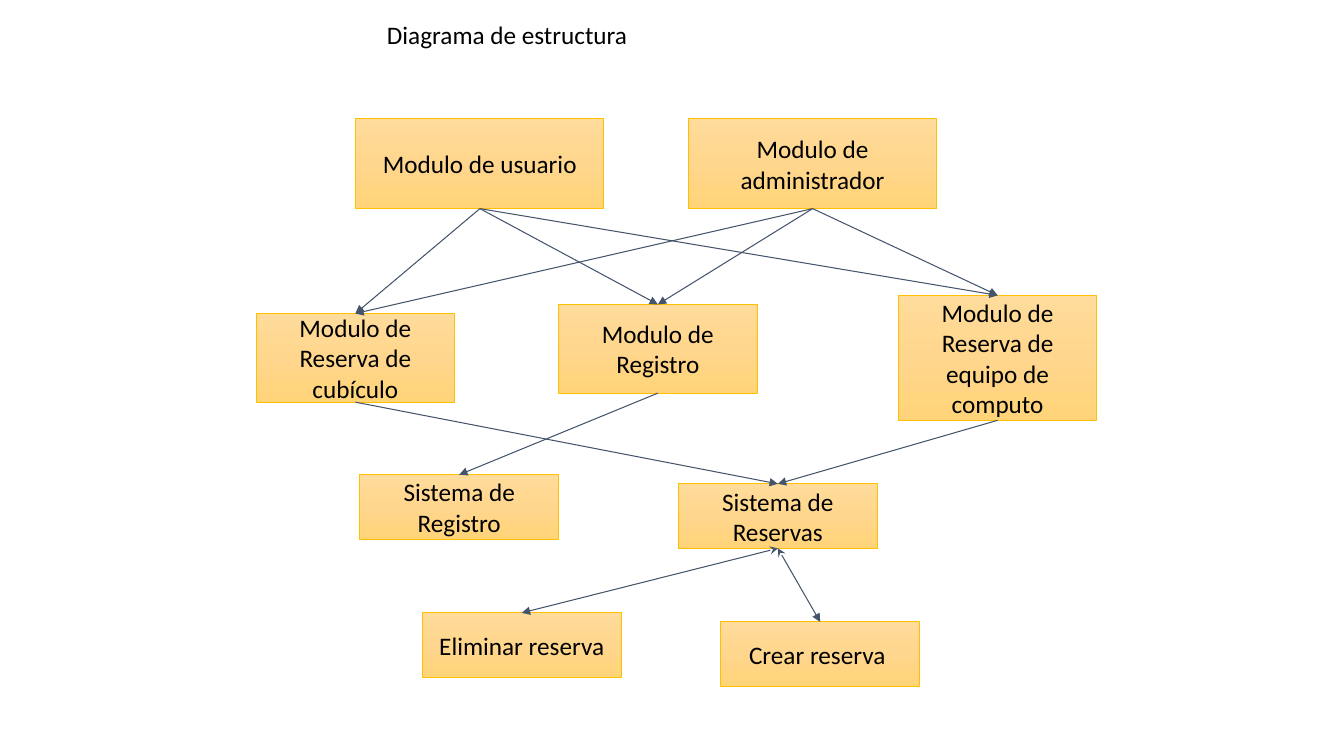
from copy import deepcopy

from pptx import Presentation
from pptx.dml.color import RGBColor
from pptx.enum.shapes import MSO_CONNECTOR, MSO_SHAPE
from pptx.enum.text import MSO_ANCHOR, MSO_AUTO_SIZE, PP_ALIGN
from pptx.oxml.ns import qn
from pptx.oxml.xmlchemy import OxmlElement
from pptx.util import Inches, Pt

TITLE = ("Diagrama de estructura", (3.74, 0.14, 5.46, 0.4))

# Box sizes: width, height
MAIN, MODULE, TALL, SYSTEM = (2.46, 0.89), (1.97, 0.88), (1.97, 1.24), (1.97, 0.64)

# key: (text, left, top, size)
BOXES = {
    "usuario": ("Modulo de usuario", 3.53, 1.18, MAIN),
    "administrador": ("Modulo de administrador", 6.83, 1.18, MAIN),
    "cubiculo": ("Modulo de Reserva de cubículo", 2.54, 3.11, MODULE),
    "registro": ("Modulo de Registro", 5.54, 3.02, MODULE),
    "equipo": ("Modulo de Reserva de equipo de computo", 8.91, 2.93, TALL),
    "sistema registro": ("Sistema de Registro", 3.57, 4.71, SYSTEM),
    "sistema reservas": ("Sistema de Reservas", 6.73, 4.8, SYSTEM),
    "eliminar": ("Eliminar reserva", 4.19, 6.08, SYSTEM),
    "crear": ("Crear reserva ", 7.15, 6.17, SYSTEM),
}

# parent: (children, arrowhead at the parent's end)
LINKS = {
    "usuario": (("cubiculo", "registro", "equipo"), None),
    "administrador": (("cubiculo", "registro", "equipo"), None),
    "registro": (("sistema registro",), None),
    "cubiculo": (("sistema reservas",), None),
    "equipo": (("sistema reservas",), None),
    "sistema reservas": (("eliminar", "crear"), "stealth"),
}

THEME = {
    "gradient": ((0, "FFDC9B"), (0.5, "FFD68D"), (1, "FFD478")),
    "border": "FFC000",
    "arrow": "44546A",
    "line width": Pt(0.75),
    "font": {"name": "Calibri", "size": Pt(18)},
    "text": "000000",
}
TOP_SITE, BOTTOM_SITE = 0, 2


def style_line(line, color):
    line.color.rgb = RGBColor.from_string(color)
    line.width = THEME["line width"]


def write_text(shape, text, align, **frame_format):
    frame = shape.text_frame
    for name, value in {"word_wrap": True, **frame_format}.items():
        setattr(frame, name, value)
    para = frame.paragraphs[0]
    para.alignment = align
    span = para.add_run()
    span.text = text
    for name, value in THEME["font"].items():
        setattr(span.font, name, value)
    span.font.color.rgb = RGBColor.from_string(THEME["text"])


def fill_gradient(shape):
    """Fill from top to bottom with the theme's three stops."""
    shape.fill.gradient()
    shape.fill.gradient_angle = 270
    stop_list = shape._element.spPr.find(qn("a:gradFill")).find(qn("a:gsLst"))
    stop_list.insert(1, deepcopy(stop_list[0]))
    for stop, (position, color) in zip(shape.fill.gradient_stops, THEME["gradient"]):
        stop.position = position
        stop.color.rgb = RGBColor.from_string(color)


def add_box(page, text, left, top, size):
    box = page.shapes.add_shape(
        MSO_SHAPE.RECTANGLE, *map(Inches, (left, top, *size)))
    box.shadow.inherit = False
    fill_gradient(box)
    style_line(box.line, THEME["border"])
    write_text(box, text, PP_ALIGN.CENTER, vertical_anchor=MSO_ANCHOR.MIDDLE)
    return box


def add_arrow(page, parent, child, head):
    arrow = page.shapes.add_connector(MSO_CONNECTOR.STRAIGHT, 0, 0, 0, 0)
    arrow.begin_connect(parent, BOTTOM_SITE)
    arrow.end_connect(child, TOP_SITE)
    style_line(arrow.line, THEME["arrow"])
    for tag, kind in (("a:headEnd", head), ("a:tailEnd", "triangle")):
        if kind:
            end = OxmlElement(tag)
            end.set("type", kind)
            arrow.line._get_or_add_ln().append(end)
    arrow._element.spPr.append(OxmlElement("a:effectLst"))


def main():
    deck = Presentation()
    deck.slide_width, deck.slide_height = Inches(13.33), Inches(7.5)
    page = deck.slides.add_slide(deck.slide_layouts[6])

    title, place = TITLE
    write_text(page.shapes.add_textbox(*map(Inches, place)), title, PP_ALIGN.LEFT,
               auto_size=MSO_AUTO_SIZE.SHAPE_TO_FIT_TEXT)

    boxes = {key: add_box(page, *box) for key, box in BOXES.items()}
    for parent, (children, head) in LINKS.items():
        for child in children:
            add_arrow(page, boxes[parent], boxes[child], head)

    deck.save("out.pptx")


if __name__ == "__main__":
    main()
